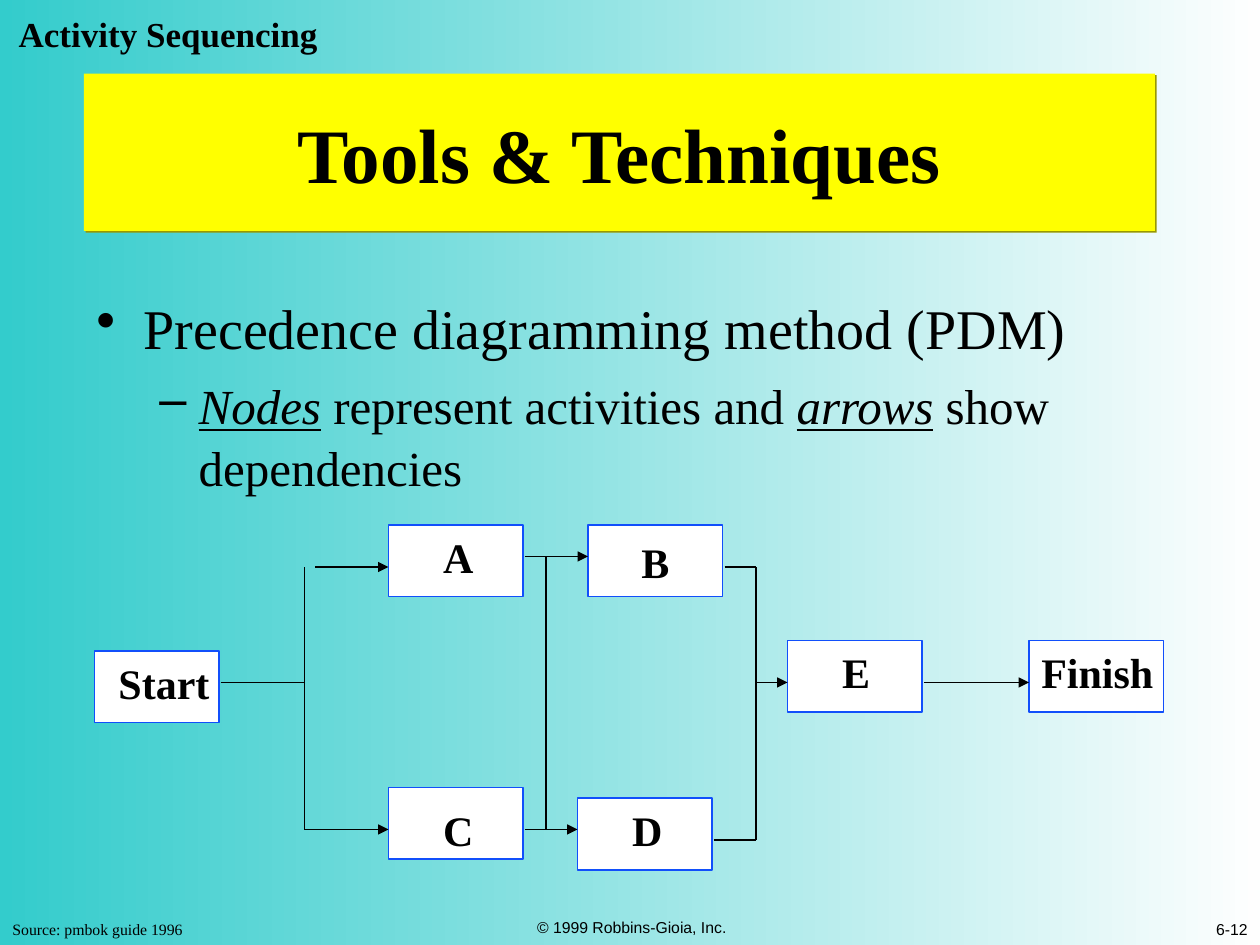
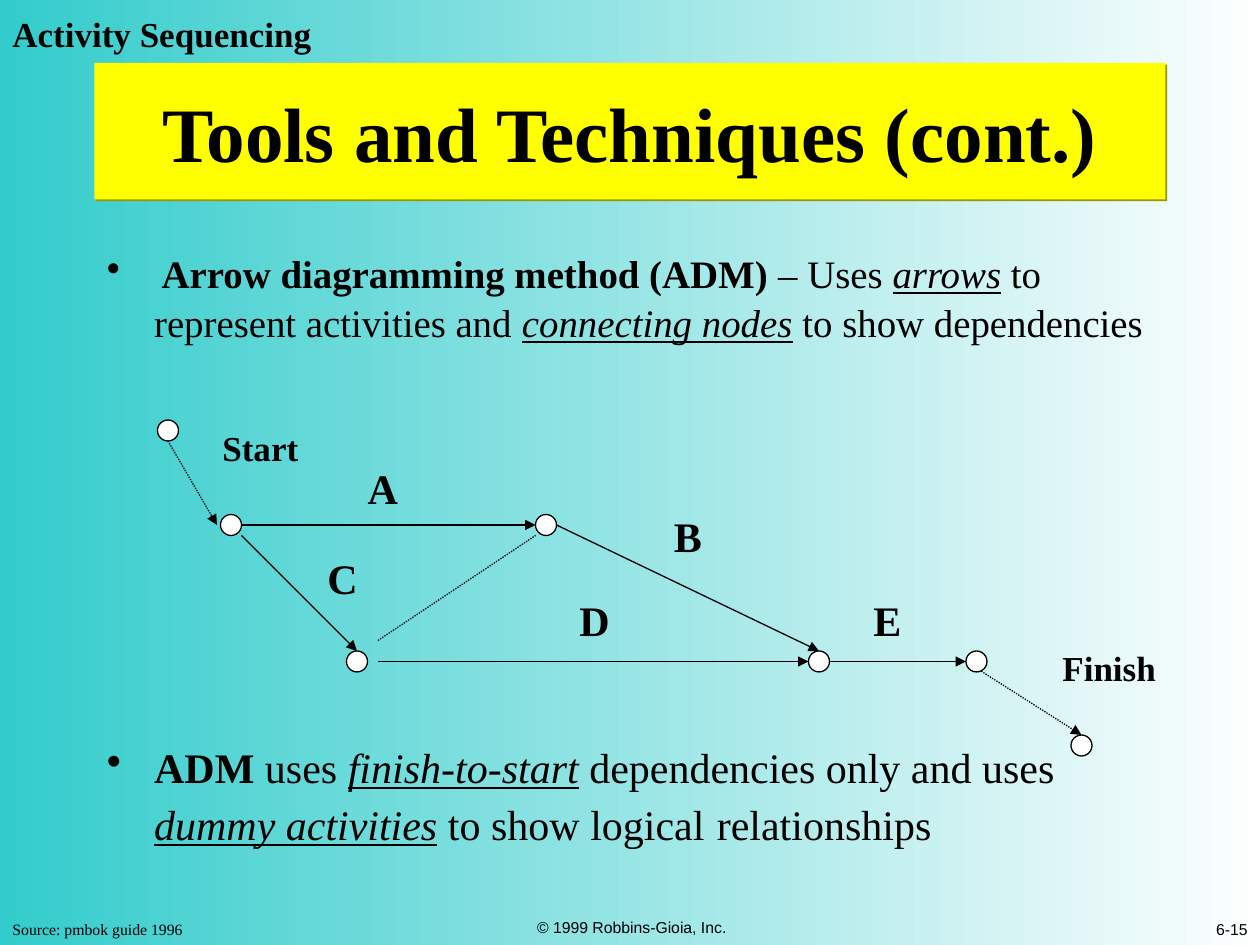
"""Build two slides on activity sequencing: precedence and arrow diagramming."""
from lxml import etree
from pptx import Presentation
from pptx.dml.color import RGBColor
from pptx.enum.dml import MSO_LINE
from pptx.enum.shapes import MSO_CONNECTOR, MSO_SHAPE
from pptx.enum.text import MSO_ANCHOR, PP_ALIGN
from pptx.oxml.ns import qn
from pptx.util import Pt

RECTANGLE, OVAL = MSO_SHAPE.RECTANGLE, MSO_SHAPE.OVAL
STRAIGHT, DOTTED = MSO_CONNECTOR.STRAIGHT, MSO_LINE.ROUND_DOT
LEFT, CENTER, RIGHT = PP_ALIGN.LEFT, PP_ALIGN.CENTER, PP_ALIGN.RIGHT
TOP, MIDDLE, BOTTOM = MSO_ANCHOR.TOP, MSO_ANCHOR.MIDDLE, MSO_ANCHOR.BOTTOM
SERIF, SANS = "Times New Roman", "Arial"
COLORS = {
    "text": "000000",
    "title_band": "FFFF00",
    "title_shadow": "989800",
    "node": "FFFFFF",
    "node_line": "114FFB",
    "background_right": "FEFEFE",
    "background_left": "33CCCC",
}
BULLETS = {"•": (0, 27, 27), "–": (1, 58.5, 22.5)}


def write_text(shape, text, size=24, font=SERIF, bold=False, align=LEFT, anchor=TOP,
               wrap=True, bullet=None, before=0, spacing=None):
    """Add a paragraph; text is a string or a list of (text, style letters, size)."""
    frame = shape.text_frame
    frame.word_wrap = wrap
    frame.vertical_anchor = anchor
    paragraph = frame.add_paragraph() if frame.text else frame.paragraphs[0]
    if bullet:
        paragraph.level, margin, hanging = BULLETS[bullet]
        properties = paragraph._p.get_or_add_pPr()
        properties.set("marL", str(Pt(margin)))
        properties.set("indent", str(-Pt(hanging)))
        bullet_color = etree.SubElement(properties, qn("a:buClr"))
        etree.SubElement(bullet_color, qn("a:srgbClr"), val=COLORS["text"])
        etree.SubElement(properties, qn("a:buChar"), char=bullet)
    paragraph.alignment = align
    paragraph.space_before = Pt(before)
    if spacing:
        paragraph.line_spacing = spacing
    if isinstance(text, str):
        text = [(text, "b" if bold else "", size)]
    for words, style, run_size in text:
        run = paragraph.add_run()
        run.text = words
        run.font.name = font
        run.font.size = Pt(run_size)
        run.font.bold = "b" in style
        run.font.italic = run.font.underline = "i" in style
        run.font.color.rgb = RGBColor.from_string(COLORS["text"])


def draw_line(slide, start_x, start_y, end_x, end_y, arrow=False, dash=None, weight=0.75):
    """Draw a straight black line, with an arrowhead at its end if asked."""
    connector = slide.shapes.add_connector(
        STRAIGHT, Pt(start_x), Pt(start_y), Pt(end_x), Pt(end_y))
    connector.line.color.rgb = RGBColor.from_string(COLORS["text"])
    connector.line.width = Pt(weight)
    if dash:
        connector.line.dash_style = dash
    properties = connector.element.spPr
    if arrow:
        etree.SubElement(properties.find(qn("a:ln")), qn("a:tailEnd"), type="triangle")
    etree.SubElement(properties, qn("a:effectLst"))


presentation = Presentation()
presentation.slide_width, presentation.slide_height = Pt(720), Pt(540)

background = presentation.slide_master.background.fill
background.gradient()
background.gradient_angle = 180
for stop, name in zip(background.gradient_stops, ("background_right", "background_left")):
    stop.color.rgb = RGBColor.from_string(COLORS[name])

slides = []
for title, title_box, heading_left, page in (
    ("Tools & Techniques", (48, 42, 612, 90), 3.6, "6-12"),
    ("Tools and Techniques (cont.)", (54, 36, 612, 78), 0, "6-15"),
):
    slide = presentation.slides.add_slide(presentation.slide_layouts[6])
    slides.append(slide)
    for text, box, text_format in (
        ("Source: pmbok guide 1996", (0, 522, 112, 18), {"size": 9, "wrap": False}),
        ("© 1999 Robbins-Gioia, Inc.", (244, 503, 234, 36),
         {"size": 9, "font": SANS, "align": CENTER, "anchor": BOTTOM}),
        (page, (486, 504, 234, 36),
         {"size": 9, "font": SANS, "align": RIGHT, "anchor": BOTTOM}),
        ("Activity Sequencing", (heading_left, 3.6, 188, 32),
         {"size": 20, "bold": True, "wrap": False}),
    ):
        write_text(slide.shapes.add_textbox(*map(Pt, box)), text, **text_format)

    band = slide.shapes.add_shape(RECTANGLE, *map(Pt, title_box))
    band.fill.solid()
    band.fill.fore_color.rgb = RGBColor.from_string(COLORS["title_band"])
    band.line.fill.background()
    band.shadow.inherit = False
    shadow = etree.SubElement(
        band.element.spPr.find(qn("a:effectLst")), qn("a:outerShdw"),
        dist=str(Pt(1.4)), dir="2700000", algn="ctr", rotWithShape="0")
    etree.SubElement(shadow, qn("a:srgbClr"), val=COLORS["title_shadow"])
    write_text(band, title, size=44, bold=True, align=CENTER, anchor=MIDDLE)

precedence_slide, arrow_slide = slides

body = precedence_slide.shapes.add_textbox(Pt(48), Pt(162), Pt(618), Pt(126))
write_text(body, "Precedence diagramming method (PDM)", size=32, bullet="•", spacing=1.05)
write_text(body, [
    ("Nodes", "i", 28),
    (" represent activities and ", "", 28),
    ("arrows", "i", 28),
    (" show dependencies", "", 28),
], bullet="–", before=7, spacing=1.05)

for label, left, top, width, inset_left, inset_top in (
    ("Start", 54, 372, 71, 13.7, 3.6),
    ("A", 222, 300, 77, 31.2, 3.6),
    ("B", 336, 300, 77, 30.5, 6.7),
    ("C", 222, 450, 77, 31.2, 9.6),
    ("D", 330, 456, 77, 31.2, 3.6),
    ("E", 450, 366, 77, 31.2, 3.6),
    ("Finish", 588, 366, 77, 7.2, 3.6),
):
    node = precedence_slide.shapes.add_shape(RECTANGLE, Pt(left), Pt(top), Pt(width), Pt(41))
    node.fill.solid()
    node.fill.fore_color.rgb = RGBColor.from_string(COLORS["node"])
    node.line.color.rgb = RGBColor.from_string(COLORS["node_line"])
    node.line.width = Pt(1)
    node.shadow.inherit = False
    node.text_frame.margin_left = Pt(inset_left)
    node.text_frame.margin_top = Pt(inset_top)
    node.text_frame.margin_right = node.text_frame.margin_bottom = 0
    write_text(node, label, bold=True)

for ends in (
    (126, 390, 174, 390),
    (174, 324, 174, 474),
    (312, 474, 312, 318),
    (414, 324, 432, 324),
    (408, 480, 432, 480),
    (432, 324, 432, 480),
):
    draw_line(precedence_slide, *ends)
for ends in (
    (180, 324, 222, 324),
    (174, 474, 222, 474),
    (300, 318, 336, 318),
    (300, 474, 330, 474),
    (432, 390, 450, 390),
):
    draw_line(precedence_slide, *ends, arrow=True)
draw_line(precedence_slide, 528, 390, 588, 390, arrow=True, weight=1)

body = arrow_slide.shapes.add_textbox(Pt(54), Pt(138), Pt(612), Pt(90))
write_text(body, [
    (" Arrow diagramming method (ADM)", "b", 22.2),
    (" – Uses ", "", 22.2),
    ("arrows", "i", 22.2),
    (" to represent activities and ", "", 22.2),
    ("connecting nodes", "i", 22.2),
    (" to show dependencies", "", 22.2),
], bullet="•", spacing=1.05)

for ends in (
    (138, 300, 306, 300),
    (138, 306, 204, 372),
    (216, 378, 462, 378),
    (318, 300, 468, 372),
    (474, 378, 552, 378),
):
    draw_line(arrow_slide, *ends, arrow=True)
for ends, arrow in (
    ((96, 252, 124, 300), True),
    ((216, 366, 306, 306), False),
    ((552, 378, 618, 420), True),
):
    draw_line(arrow_slide, *ends, arrow=arrow, dash=DOTTED)

for left, top in (
    (90, 240), (126, 294), (306, 294), (198, 372), (462, 372), (552, 372), (612, 420),
):
    event = arrow_slide.shapes.add_shape(OVAL, Pt(left), Pt(top), Pt(12), Pt(12))
    event.fill.solid()
    event.fill.fore_color.rgb = RGBColor.from_string(COLORS["node"])
    event.line.color.rgb = RGBColor.from_string(COLORS["text"])
    event.line.width = Pt(0.75)
    event.shadow.inherit = False

for label, left, top, width, height, size in (
    ("Start", 120, 240, 58, 32, 20),
    ("A", 203, 261, 32, 36, 24),
    ("B", 378, 288, 30, 36, 24),
    ("C", 180, 312, 32, 36, 24),
    ("D", 324, 336, 32, 36, 24),
    ("E", 492, 336, 30, 36, 24),
    ("Finish", 600, 366, 68, 32, 20),
):
    label_box = arrow_slide.shapes.add_textbox(Pt(left), Pt(top), Pt(width), Pt(height))
    write_text(label_box, label, size=size, bold=True, wrap=False)

closing = arrow_slide.shapes.add_textbox(Pt(54), Pt(420), Pt(612), Pt(96))
write_text(closing, [
    ("ADM ", "b", 24),
    ("uses ", "", 24),
    ("finish-to-start", "i", 24),
    (" dependencies only and uses ", "", 24),
    ("dummy activities", "i", 24),
    (" to show logical", "", 24),
    (" ", "", 28),
    ("relationships", "", 24),
], bullet="•")

presentation.save("out.pptx")
